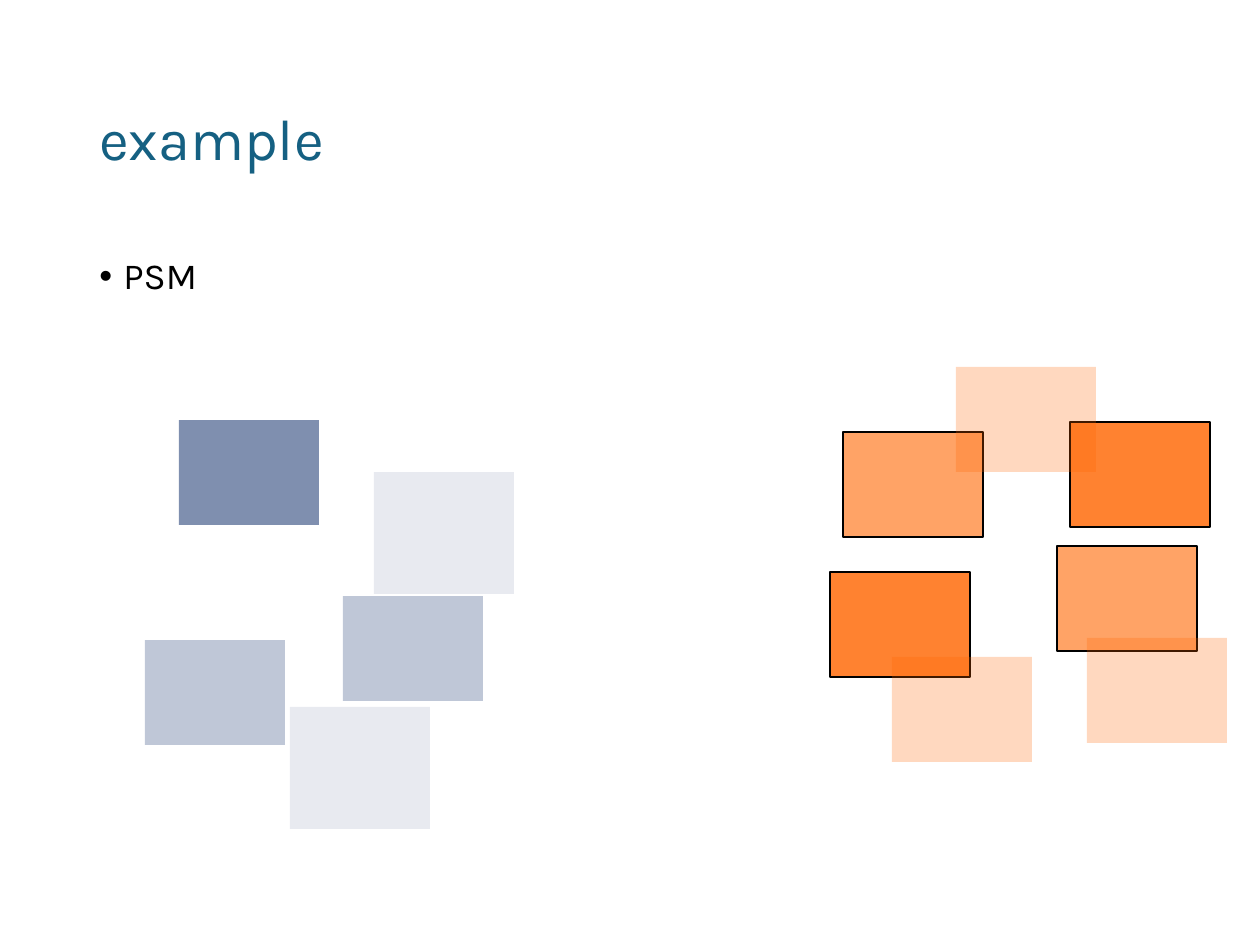
import pptx
import pptx.util
from lxml import etree
from pptx.dml.color import RGBColor
from pptx.enum.shapes import MSO_SHAPE
from pptx.enum.text import MSO_ANCHOR
from pptx.oxml.ns import qn

PX = 914400 / 126
BLACK = RGBColor(0x00, 0x00, 0x00)
TEAL = RGBColor(0x15, 0x60, 0x82)
ORANGE = RGBColor(0xFF, 0x66, 0x00)
NAVY = RGBColor(0x00, 0x20, 0x60)


def px(length):
    return pptx.util.Emu(round(length * PX))


def add_text(text, top, height, size, color, anchor, bullet=False):
    box = slide.shapes.add_textbox(px(87), px(top), px(1086), px(height))
    frame = box.text_frame
    frame.word_wrap = True
    frame.vertical_anchor = anchor
    paragraph = frame.paragraphs[0]
    paragraph.text = text
    paragraph.line_spacing = 0.9
    if bullet:
        properties = paragraph._p.get_or_add_pPr()
        properties.set("marL", str(px(24)))
        properties.set("indent", str(px(-24)))
        etree.SubElement(properties, qn("a:buFont")).set("typeface", "Arial")
        etree.SubElement(properties, qn("a:buChar")).set("char", "•")
    paragraph.font.name = "Karla"
    paragraph.font.size = pptx.util.Pt(size)
    paragraph.font.color.rgb = color


presentation = pptx.Presentation()
presentation.slide_width = px(1260)
presentation.slide_height = px(945)
slide = presentation.slides.add_slide(presentation.slide_layouts[6])

# Title and bullet
add_text("example", 50, 183, 33, TEAL, MSO_ANCHOR.MIDDLE)
add_text("PSM", 252, 600, 21, BLACK, MSO_ANCHOR.TOP, bullet=True)

# Two groups of units: colour, opacity in percent, outlined, height, positions
unit_sets = [
    (ORANGE, 60, True, 105, [(843, 432), (1057, 546)]),
    (ORANGE, 81, True, 105, [(1070, 422), (830, 572)]),
    (ORANGE, 25, False, 105, [(956, 367), (892, 657), (1087, 638)]),
    (NAVY, 25, False, 105, [(343, 596), (145, 640)]),
    (NAVY, 50, False, 105, [(179, 420)]),
    (NAVY, 9, False, 122, [(290, 707), (374, 472)]),
]
for color, opacity, outlined, height, positions in unit_sets:
    for left, top in positions:
        unit = slide.shapes.add_shape(
            MSO_SHAPE.RECTANGLE, px(left), px(top), px(140), px(height))
        unit.shadow.inherit = False
        unit.fill.solid()
        unit.fill.fore_color.rgb = color
        fill_color = unit._element.spPr.find(qn("a:solidFill")).find(qn("a:srgbClr"))
        etree.SubElement(fill_color, qn("a:alpha")).set("val", str(opacity * 1000))
        if outlined:
            unit.line.color.rgb = BLACK
            unit.line.width = pptx.util.Pt(0.75)
        else:
            unit.line.fill.background()

presentation.save("out.pptx")
